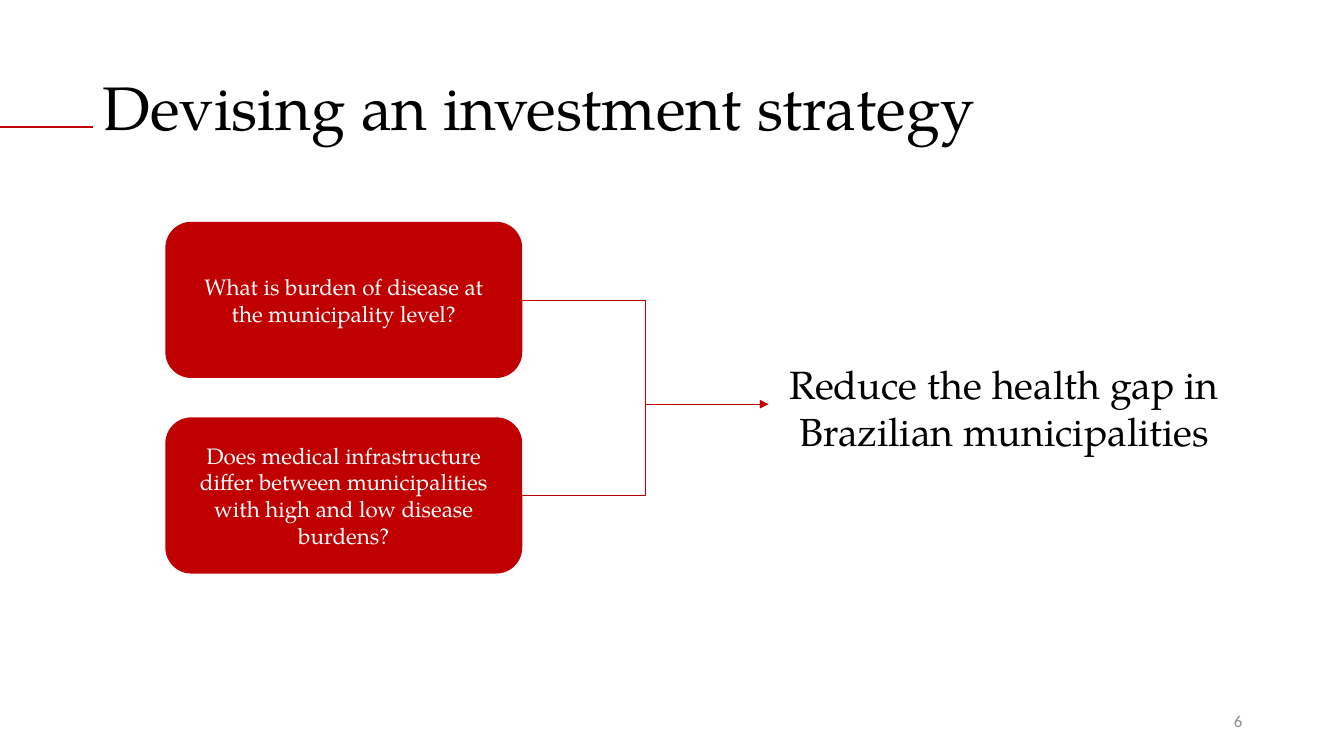
from lxml import etree
from pptx import Presentation
from pptx.dml.color import RGBColor
from pptx.enum.shapes import MSO_CONNECTOR, MSO_SHAPE
from pptx.enum.text import MSO_ANCHOR, PP_ALIGN
from pptx.oxml.ns import qn
from pptx.util import Inches, Pt

STRAIGHT, ELBOW = MSO_CONNECTOR.STRAIGHT, MSO_CONNECTOR.ELBOW
ROUNDED = MSO_SHAPE.ROUNDED_RECTANGLE
LEFT, CENTER, RIGHT = PP_ALIGN.LEFT, PP_ALIGN.CENTER, PP_ALIGN.RIGHT
MIDDLE, BOTTOM = MSO_ANCHOR.MIDDLE, MSO_ANCHOR.BOTTOM

COLORS = {"red": "C00000", "black": "000000", "white": "FFFFFF", "gray": "8C8C8C"}
SERIF, SANS = "TeX Gyre Pagella", "Calibri"

QUESTIONS = [
    "What is burden of disease at the municipality level?",
    "Does medical infrastructure differ between municipalities "
    "with high and low disease burdens?",
]
CARD_LEFT, CARD_TOP, CARD_WIDTH, CARD_HEIGHT = 1.64, 2.2, 3.54, 1.55
CARD_PITCH = 1.94
GOAL_LEFT, ARROW_Y = 7.62, 4.01


class SlideBuilder:
    def __init__(self, slide):
        self.slide = slide

    def color(self, name):
        return RGBColor.from_string(COLORS[name])

    def set_words(self, shape, words, size, color, align, anchor, font=SERIF):
        frame = shape.text_frame
        frame.word_wrap = True
        frame.vertical_anchor = anchor
        frame.text = words
        paragraph = frame.paragraphs[0]
        paragraph.alignment = align
        run_font = paragraph.runs[0].font
        run_font.name = font
        run_font.size = Pt(size)
        run_font.color.rgb = self.color(color)
        return paragraph

    def text(self, box, words, size, color="black", align=LEFT, anchor=MIDDLE, font=SERIF):
        label = self.slide.shapes.add_textbox(*map(Inches, box))
        return self.set_words(label, words, size, color, align, anchor, font)

    def card(self, box, words):
        card = self.slide.shapes.add_shape(ROUNDED, *map(Inches, box))
        card.shadow.inherit = False
        card.fill.solid()
        card.fill.fore_color.rgb = self.color("red")
        card.line.fill.background()
        self.set_words(card, words, 16, "white", CENTER, MIDDLE)
        card.text_frame.margin_left = card.text_frame.margin_right = Inches(0.22)

    def line(self, start, end, width, kind=STRAIGHT, arrow=False):
        line = self.slide.shapes.add_connector(kind, *map(Inches, (*start, *end)))
        line.line.color.rgb = self.color("red")
        line.line.width = Pt(width)
        properties = line._element.spPr
        if arrow:
            etree.SubElement(properties.find(qn("a:ln")), qn("a:tailEnd"), type="triangle")
        etree.SubElement(properties, qn("a:effectLst"))


def main():
    deck = Presentation()
    deck.slide_width, deck.slide_height = Inches(13.33), Inches(7.5)
    builder = SlideBuilder(deck.slides.add_slide(deck.slide_layouts[6]))

    builder.line((0.92, 1.26), (0, 1.26), 1.5)
    title = builder.text((0.92, 0.4, 11.5, 1.4), "Devising an investment strategy", 44)
    title.line_spacing = 0.9

    builder.text((GOAL_LEFT, 3.21, 4.68, 1.35),
                 "Reduce the health gap in Brazilian municipalities",
                 28, align=CENTER, anchor=BOTTOM)

    for index, question in enumerate(QUESTIONS):
        top = CARD_TOP + index * CARD_PITCH
        builder.card((CARD_LEFT, top, CARD_WIDTH, CARD_HEIGHT), question)
        builder.line((CARD_LEFT + CARD_WIDTH, top + CARD_HEIGHT / 2),
                     (GOAL_LEFT, ARROW_Y), 0.5, ELBOW, arrow=True)

    builder.text((9.42, 6.95, 3, 0.4), "6", 12, "gray", RIGHT, font=SANS)
    deck.save("out.pptx")


if __name__ == "__main__":
    main()
